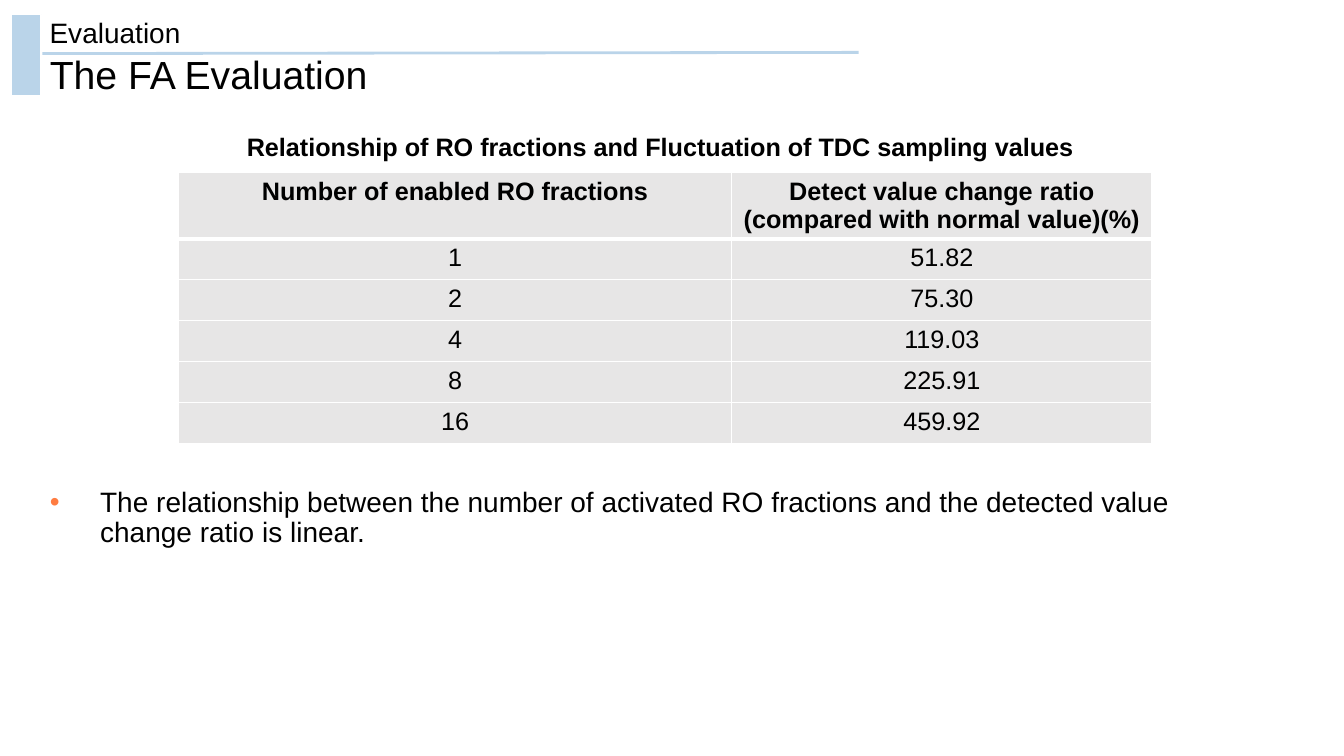
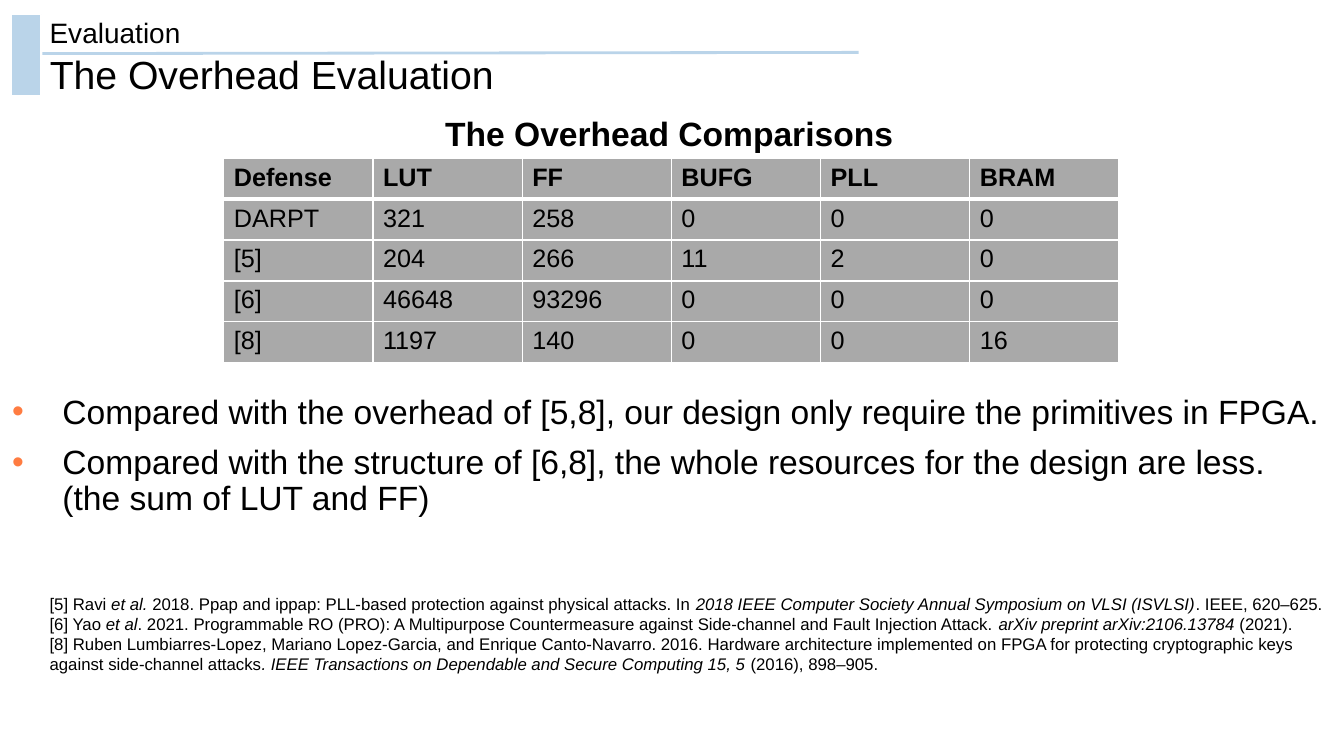
from dataclasses import dataclass

from lxml import etree
from pptx import Presentation
from pptx.dml.color import RGBColor
from pptx.enum.shapes import MSO_CONNECTOR, MSO_SHAPE
from pptx.enum.text import MSO_ANCHOR, MSO_AUTO_SIZE, PP_ALIGN
from pptx.oxml.ns import qn
from pptx.util import Cm, Pt

RECTANGLE = MSO_SHAPE.RECTANGLE
STRAIGHT = MSO_CONNECTOR.STRAIGHT
MIDDLE, TOP = MSO_ANCHOR.MIDDLE, MSO_ANCHOR.TOP
LEFT, CENTER = PP_ALIGN.LEFT, PP_ALIGN.CENTER
NO_AUTOFIT = MSO_AUTO_SIZE.NONE


@dataclass(frozen=True)
class Theme:
    font: str = "Arial"
    text: str = "000000"
    accent: str = "77AAD5"
    bullet: str = "FF7C41"
    border: str = "FFFFFF"
    light_cell: str = "E7E6E6"
    dark_cell: str = "A9A9A9"
    title_size: int = 28
    section_size: int = 20
    table_size: int = 18
    reference_size: int = 12
    tight: float = 0.9
    row_height: float = 1.03


THEME = Theme()

RATIO_ROWS = [
    ["Number of enabled RO fractions",
     "Detect value change ratio\n(compared with normal value)(%)"],
    ["1", "51.82"],
    ["2", "75.30"],
    ["4", "119.03"],
    ["8", "225.91"],
    ["16", "459.92"],
]

OVERHEAD_ROWS = [
    ["Defense", "LUT", "FF", "BUFG", "PLL", "BRAM"],
    ["DARPT", "321", "258", "0", "0", "0"],
    ["[5]", "204", "266", "11", "2", "0"],
    ["[6]", "46648", "93296", "0", "0", "0"],
    ["[8]", "1197", "140", "0", "0", "16"],
]

# Each reference alternates upright and italic spans.
REFERENCES = [
    ["[5] Ravi ", "et al. ",
     "2018. Ppap and ippap: PLL-based protection against physical attacks. In ",
     "2018 IEEE Computer Society Annual Symposium on VLSI (ISVLSI)",
     ". IEEE, 620–625."],
    ["[6] Yao ", "et al",
     ". 2021. Programmable RO (PRO): A Multipurpose Countermeasure against "
     "Side-channel and Fault Injection Attack. ",
     "arXiv preprint arXiv:2106.13784", " (2021)."],
    ["[8] Ruben Lumbiarres-Lopez, Mariano Lopez-Garcia, and Enrique "
     "Canto-Navarro. 2016. Hardware architecture implemented on FPGA for "
     "protecting cryptographic keys against side-channel attacks",
     ". IEEE Transactions on Dependable and Secure Computing 15, 5",
     " (2016), 898–905."],
]


def rgb(value):
    return RGBColor.from_string(value)


def place(shape, area):
    shape.left, shape.top, shape.width, shape.height = map(Cm, area)


def style_para(para, size, bold=False, align=LEFT, spacing=1.0):
    para.alignment = align
    para.line_spacing = spacing
    para.font.name = THEME.font
    para.font.size = Pt(size)
    para.font.bold = bold
    para.font.color.rgb = rgb(THEME.text)


def set_frame(frame, anchor):
    frame.word_wrap = True
    frame.auto_size = NO_AUTOFIT
    frame.vertical_anchor = anchor


def add_text(page, area, text, size, anchor=TOP, **style):
    box = page.shapes.add_textbox(*map(Cm, area))
    set_frame(box.text_frame, anchor)
    box.text_frame.text = text
    style_para(box.text_frame.paragraphs[0], size, **style)


def make_half_transparent(shape):
    color = shape._element.spPr.find(".//" + qn("a:srgbClr"))
    etree.SubElement(color, qn("a:alpha"), val="50000")


def add_header_marks(page):
    """Draw the block and the rule beside the headings."""
    block = page.shapes.add_shape(RECTANGLE, *map(Cm, (0.28, 0.36, 0.76, 2.06)))
    block.shadow.inherit = False
    block.fill.solid()
    block.fill.fore_color.rgb = rgb(THEME.accent)
    block.line.color.rgb = rgb(THEME.border)
    block.line.width = Pt(1)
    make_half_transparent(block)

    rule = page.shapes.add_connector(STRAIGHT, *map(Cm, (1.07, 1.35, 21.64, 1.32)))
    rule.line.color.rgb = rgb(THEME.accent)
    rule.line.width = Pt(2)
    make_half_transparent(rule)
    etree.SubElement(rule._element.spPr, qn("a:effectLst"))


def add_page(deck, title):
    page = deck.slides.add_slide(deck.slide_layouts[1])
    heading = page.shapes.title
    place(heading, (1, 1.4, 17.27, 1.09))
    set_frame(heading.text_frame, MIDDLE)
    heading.text_frame.text = title
    style_para(heading.text_frame.paragraphs[0], THEME.title_size,
               spacing=THEME.tight)
    add_header_marks(page)
    add_text(page, (1, 0.46, 4.98, 0.84), "Evaluation", THEME.section_size,
             anchor=MIDDLE, spacing=THEME.tight)
    return page


def add_bullet_mark(para):
    properties = para._p.get_or_add_pPr()
    properties.set("marL", str(Cm(1.27)))
    properties.set("indent", str(-Cm(1.27)))
    color = etree.SubElement(properties, qn("a:buClr"))
    etree.SubElement(color, qn("a:srgbClr"), val=THEME.bullet)
    etree.SubElement(properties, qn("a:buFont"), typeface=THEME.font)
    etree.SubElement(properties, qn("a:buChar"), char="•")


def fill_bullets(page, area, items, size):
    body = page.placeholders[1]
    place(body, area)
    set_frame(body.text_frame, TOP)
    body.text_frame.text = "\n".join(items)
    for index, para in enumerate(body.text_frame.paragraphs):
        add_bullet_mark(para)
        para.space_before = Pt(10 if index else 0)
        style_para(para, size, spacing=THEME.tight)


def set_borders(cell, top, bottom):
    properties = cell._tc.get_or_add_tcPr()
    for side, width in (("L", 1), ("R", 1), ("T", top), ("B", bottom)):
        line = etree.SubElement(properties, qn("a:ln" + side), w=str(Pt(width)))
        fill = etree.SubElement(line, qn("a:solidFill"))
        etree.SubElement(fill, qn("a:srgbClr"), val=THEME.border)


def add_table(page, left, top, widths, rows, fill, align=LEFT,
              header_height=THEME.row_height):
    heights = [header_height] + [THEME.row_height] * (len(rows) - 1)
    area = (left, top, sum(widths), sum(heights))
    table = page.shapes.add_table(len(rows), len(widths), *map(Cm, area)).table
    table.horz_banding = False
    for column, width in zip(table.columns, widths):
        column.width = Cm(width)
    for index, (row, height, texts) in enumerate(zip(table.rows, heights, rows)):
        row.height = Cm(height)
        for cell, text in zip(row.cells, texts):
            set_borders(cell, top=3 if index == 1 else 1,
                        bottom=3 if index == 0 else 1)
            cell.fill.solid()
            cell.fill.fore_color.rgb = rgb(fill)
            cell.text = text
            for para in cell.text_frame.paragraphs:
                style_para(para, THEME.table_size, bold=index == 0, align=align)


def add_references(page, area, references):
    box = page.shapes.add_textbox(*map(Cm, area))
    frame = box.text_frame
    set_frame(frame, TOP)
    for index, spans in enumerate(references):
        para = frame.add_paragraph() if index else frame.paragraphs[0]
        style_para(para, THEME.reference_size)
        for position, text in enumerate(spans):
            span = para.add_run()
            span.text = text
            span.font.italic = position % 2 == 1


def add_fa_page(deck):
    page = add_page(deck, "The FA Evaluation")
    add_text(page, (5.97, 3.18, 24.66, 1.02),
             "Relationship of RO fractions and Fluctuation of TDC sampling values",
             18, bold=True)
    add_table(page, 4.5, 4.34, [13.94, 10.59], RATIO_ROWS, THEME.light_cell,
              align=CENTER, header_height=1.68)
    fill_bullets(page, (1, 12.17, 31.14, 2.49), [
        "The relationship between the number of activated RO fractions and "
        "the detected value change ratio is linear.",
    ], 20)


def add_overhead_page(deck):
    page = add_page(deck, "The Overhead Evaluation")
    add_text(page, (10.97, 2.72, 12.2, 1.27), "The Overhead Comparisons",
             24, bold=True)
    add_table(page, 5.64, 3.99, [3.76] * 6, OVERHEAD_ROWS, THEME.dark_cell)
    fill_bullets(page, (0.05, 9.83, 33.5, 4.6), [
        "Compared with the overhead of [5,8], our design only require the "
        "primitives in FPGA.",
        "Compared with the structure of [6,8], the whole resources for the "
        "design are less. (the sum of LUT and FF)",
    ], 24)
    add_references(page, (1, 14.83, 32.79, 2.31), REFERENCES)


def main():
    deck = Presentation()
    deck.slide_width, deck.slide_height = Cm(33.87), Cm(19.05)
    add_fa_page(deck)
    add_overhead_page(deck)
    deck.save("out.pptx")


if __name__ == "__main__":
    main()
